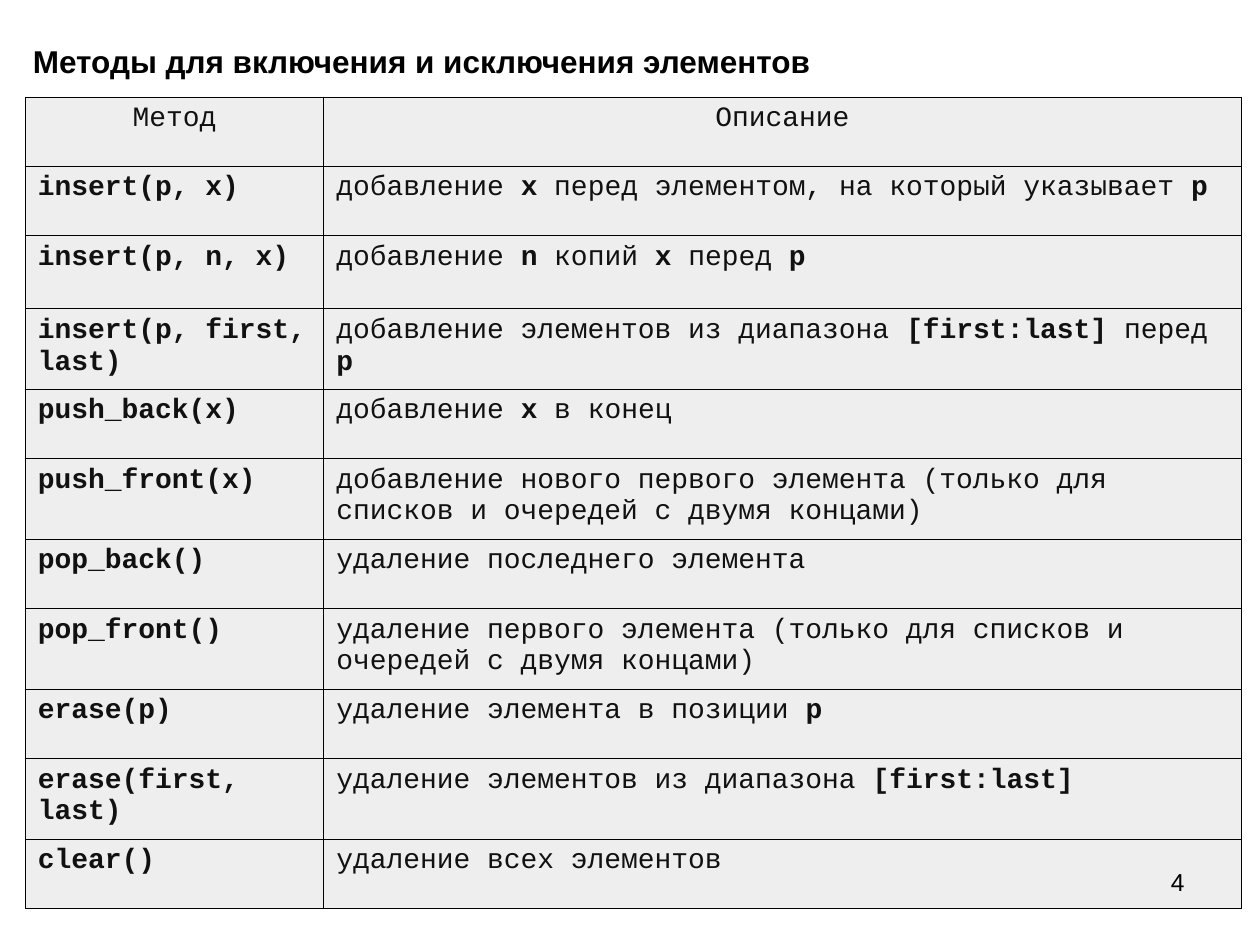
import pptx
import pptx.dml.color
import pptx.enum.text
import pptx.oxml
import pptx.oxml.ns
import pptx.util

TITLE = "Методы для включения и исключения элементов "
PAGE_NUMBER = "4"
HEADER = ("Метод", "Описание")
METHODS = [
    ("insert(p, x)", "добавление *х* перед элементом, на который указывает *р*"),
    ("insert(p, n, x)", "добавление *n* копий *х* перед *р*"),
    ("insert(p, first, last)", "добавление элементов из диапазона *[first:last]* перед *р*"),
    ("push_back(x)", "добавление *х* в конец"),
    ("push_front(x)", "добавление нового первого элемента (только для списков и очередей с двумя концами)"),
    ("pop_back()", "удаление последнего элемента"),
    ("pop_front()", "удаление первого элемента (только для списков и очередей с двумя концами)"),
    ("erase(p)", "удаление элемента в позиции *р*"),
    ("erase(first, last)", "удаление элементов из диапазона *[first:last]*"),
    ("clear()", "удаление всех элементов"),
]
COLUMN_WIDTHS = (2.37, 7.28)
ROW_HEIGHT = 0.55
TALL_ROWS = {2: 0.58, 3: 0.64, 5: 0.64, 7: 0.64, 9: 0.64}
ALIGN = pptx.enum.text.PP_ALIGN
inches = pptx.util.Inches


def color(value):
    return pptx.dml.color.RGBColor.from_string(value)


def write(para, text, font, size, ink, bold=False):
    for index, part in enumerate(text.split("*")):
        if part:
            span = para.add_run()
            span.text = part
            span.font.name = font
            span.font.size = pptx.util.Pt(size)
            span.font.color.rgb = color(ink)
            span.font.bold = bold or index % 2 == 1


def add_borders(cell, ink, width):
    properties = cell._tc.get_or_add_tcPr()
    for side in "LRTB":
        properties.append(pptx.oxml.parse_xml(
            f'<a:ln{side} {pptx.oxml.ns.nsdecls("a")} w="{pptx.util.Pt(width)}">'
            f'<a:solidFill><a:srgbClr val="{ink}"/></a:solidFill></a:ln{side}>'))


def add_text(page, place, text, size, bold=False):
    box = page.shapes.add_textbox(*map(inches, place))
    para = box.text_frame.paragraphs[0]
    para.alignment = ALIGN.RIGHT
    write(para, text, "Arial", size, "000000", bold)
    return box.text_frame


def add_methods(page):
    rows = [HEADER] + METHODS
    heights = [TALL_ROWS.get(index, ROW_HEIGHT) for index in range(len(rows))]
    table = page.shapes.add_table(
        len(rows), len(COLUMN_WIDTHS), inches(0.2), inches(0.77),
        inches(sum(COLUMN_WIDTHS)), inches(sum(heights))).table
    table.first_row = table.horz_banding = False
    for column, width in zip(table.columns, COLUMN_WIDTHS):
        column.width = inches(width)
    for row_index, (texts, height) in enumerate(zip(rows, heights)):
        table.rows[row_index].height = inches(height)
        for column_index, text in enumerate(texts):
            cell = table.cell(row_index, column_index)
            add_borders(cell, "000000", 0.45)
            cell.fill.solid()
            cell.fill.fore_color.rgb = color("EEEEEE")
            para = cell.text_frame.paragraphs[0]
            para.alignment = ALIGN.LEFT if row_index else ALIGN.CENTER
            is_method = row_index > 0 and column_index == 0
            write(para, text, "Courier New", 16, "111111", is_method)


def main():
    deck = pptx.Presentation()
    deck.slide_width, deck.slide_height = inches(10), inches(7.5)
    page = deck.slides.add_slide(deck.slide_layouts[6])
    add_methods(page)
    title = add_text(page, (0.12, 0.28, 6.48, 0.4), TITLE, 18, True)
    title.word_wrap = False
    title.auto_size = pptx.enum.text.MSO_AUTO_SIZE.SHAPE_TO_FIT_TEXT
    title.vertical_anchor = pptx.enum.text.MSO_ANCHOR.MIDDLE
    number = add_text(page, (7.17, 6.83, 2.33, 0.52), PAGE_NUMBER, 14)
    number.word_wrap = True
    deck.save("out.pptx")


if __name__ == "__main__":
    main()
